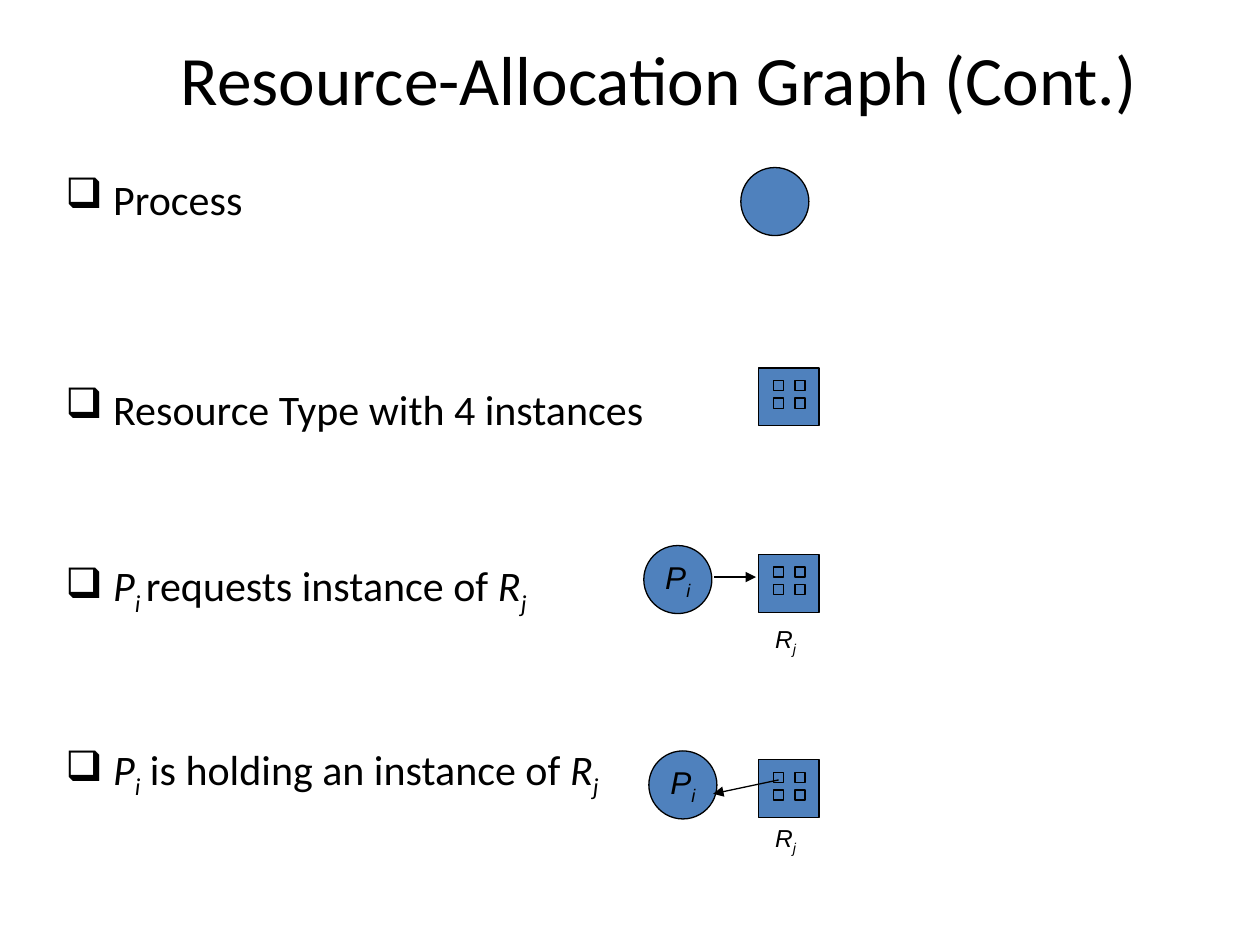
import lxml.etree
import pptx
import pptx.dml.color
import pptx.enum.shapes
import pptx.enum.text
import pptx.oxml.ns
import pptx.util

Inches = pptx.util.Inches
Pt = pptx.util.Pt
Shapes = pptx.enum.shapes.MSO_SHAPE
Align = pptx.enum.text.PP_ALIGN
Anchor = pptx.enum.text.MSO_ANCHOR
AutoSize = pptx.enum.text.MSO_AUTO_SIZE
qn = pptx.oxml.ns.qn

COLORS = {"node": "4F81BD", "ink": "000000"}
P_I = [("P", "italic"), ("i", "subscript")]
R_J = [("R", "italic"), ("j", "subscript")]


def color(name):
    return pptx.dml.color.RGBColor.from_string(COLORS[name])


class GraphSlide:
    """Holds the current slide and draws its elements in one style."""

    body_font = "Calibri"
    label_font = "Arial"
    line_width = Pt(0.75)
    circle_size = 0.54
    resource_left = 6.02

    def __init__(self, presentation):
        self.slide = presentation.slides.add_slide(presentation.slide_layouts[5])

    def style_font(self, paragraph, name, size):
        paragraph.font.name = name
        paragraph.font.size = Pt(size)
        paragraph.font.color.rgb = color("ink")

    def add_runs(self, paragraph, runs):
        """Add (text, style) runs; style is plain, italic or subscript."""
        for text, style in runs:
            run = paragraph.add_run()
            run.text = text
            if style != "plain":
                run.font.italic = True
            if style == "subscript":
                run.font._element.set("baseline", "-25000")

    def title(self, text):
        title = self.slide.shapes.title
        title.left, title.top = Inches(0.96), Inches(0.3)
        title.width, title.height = Inches(8.54), Inches(0.63)
        frame = title.text_frame
        frame.text = text
        frame.auto_size = AutoSize.NONE
        frame.vertical_anchor = Anchor.MIDDLE
        paragraph = frame.paragraphs[0]
        paragraph.alignment = Align.CENTER
        self.style_font(paragraph, self.body_font, 39.6)

    def bullets(self, items):
        """Add a list of (space before in points, runs)."""
        box = self.slide.shapes.add_textbox(
            Inches(0.42), Inches(1.33), Inches(9.25), Inches(5.75))
        frame = box.text_frame
        frame.word_wrap = True
        for index, (space, runs) in enumerate(items):
            paragraph = frame.add_paragraph() if index else frame.paragraphs[0]
            paragraph.space_before = Pt(space)
            self.style_font(paragraph, self.body_font, 24)
            self.add_runs(paragraph, runs)
            properties = paragraph._p.get_or_add_pPr()
            properties.set("marL", str(Inches(0.38)))
            properties.set("indent", str(-Inches(0.38)))
            bullet = lxml.etree.Element(qn("a:buChar"), char="❑")
            properties.find(qn("a:defRPr")).addprevious(bullet)

    def label(self, shape, runs, size):
        frame = shape.text_frame
        frame.word_wrap = False
        frame.vertical_anchor = Anchor.MIDDLE
        paragraph = frame.paragraphs[0]
        paragraph.alignment = Align.CENTER
        self.style_font(paragraph, self.label_font, size)
        self.add_runs(paragraph, runs)

    def node(self, shapes, kind, left, top, width, height):
        """Add a filled, outlined shape to the slide or to a group."""
        shape = shapes.add_shape(
            kind, Inches(left), Inches(top), Inches(width), Inches(height))
        shape.shadow.inherit = False
        shape.fill.solid()
        shape.fill.fore_color.rgb = color("node")
        shape.line.color.rgb = color("ink")
        shape.line.width = self.line_width
        return shape

    def process(self, left, top, runs=()):
        circle = self.node(self.slide.shapes, Shapes.OVAL, left, top,
                           self.circle_size, self.circle_size)
        if runs:
            self.label(circle, runs, 18)

    def resource(self, top):
        """Add a resource square holding a two by two grid of instances."""
        shapes = self.slide.shapes.add_group_shape().shapes
        left = self.resource_left
        self.node(shapes, Shapes.RECTANGLE, left, top, 0.48, 0.46)
        for row in range(2):
            for column in range(2):
                self.node(shapes, Shapes.RECTANGLE, left + 0.12 + 0.17 * column,
                          top + 0.1 + 0.14 * row, 0.08, 0.08)

    def resource_name(self, top):
        box = self.slide.shapes.add_textbox(
            Inches(6.05), Inches(top), Inches(0.37), Inches(0.33))
        self.label(box, R_J, 14)
        box.text_frame.auto_size = AutoSize.SHAPE_TO_FIT_TEXT

    def arrow(self, start, end):
        connector = self.slide.shapes.add_connector(
            pptx.enum.shapes.MSO_CONNECTOR.STRAIGHT,
            *(Inches(value) for value in (*start, *end)))
        connector.line.color.rgb = color("ink")
        connector.line.width = self.line_width
        line = connector.line._get_or_add_ln()
        lxml.etree.SubElement(line, qn("a:tailEnd"), type="triangle")
        lxml.etree.SubElement(connector._element.spPr, qn("a:effectLst"))


def main():
    presentation = pptx.Presentation()
    presentation.slide_width = Inches(10)
    presentation.slide_height = Inches(7.5)

    graph = GraphSlide(presentation)
    graph.title("Resource-Allocation Graph (Cont.)")
    graph.bullets([
        (1, [("Process", "plain")]),
        (91, [("Resource Type with 4 instances", "plain")]),
        (72, [("P", "italic"), ("i ", "subscript"),
              ("requests instance of ", "plain"), *R_J]),
        (72, [*P_I, (" is holding an instance of ", "plain"), *R_J]),
    ])

    graph.process(5.88, 1.33)
    graph.process(5.15, 5.96, P_I)
    graph.process(5.11, 4.33, P_I)
    for top in (2.92, 4.4, 6.03):
        graph.resource(top)
    graph.arrow((5.67, 4.58), (6, 4.58))
    graph.arrow((6.18, 6.19), (5.66, 6.3))
    for top in (4.92, 6.5):
        graph.resource_name(top)

    presentation.save("out.pptx")


if __name__ == "__main__":
    main()
